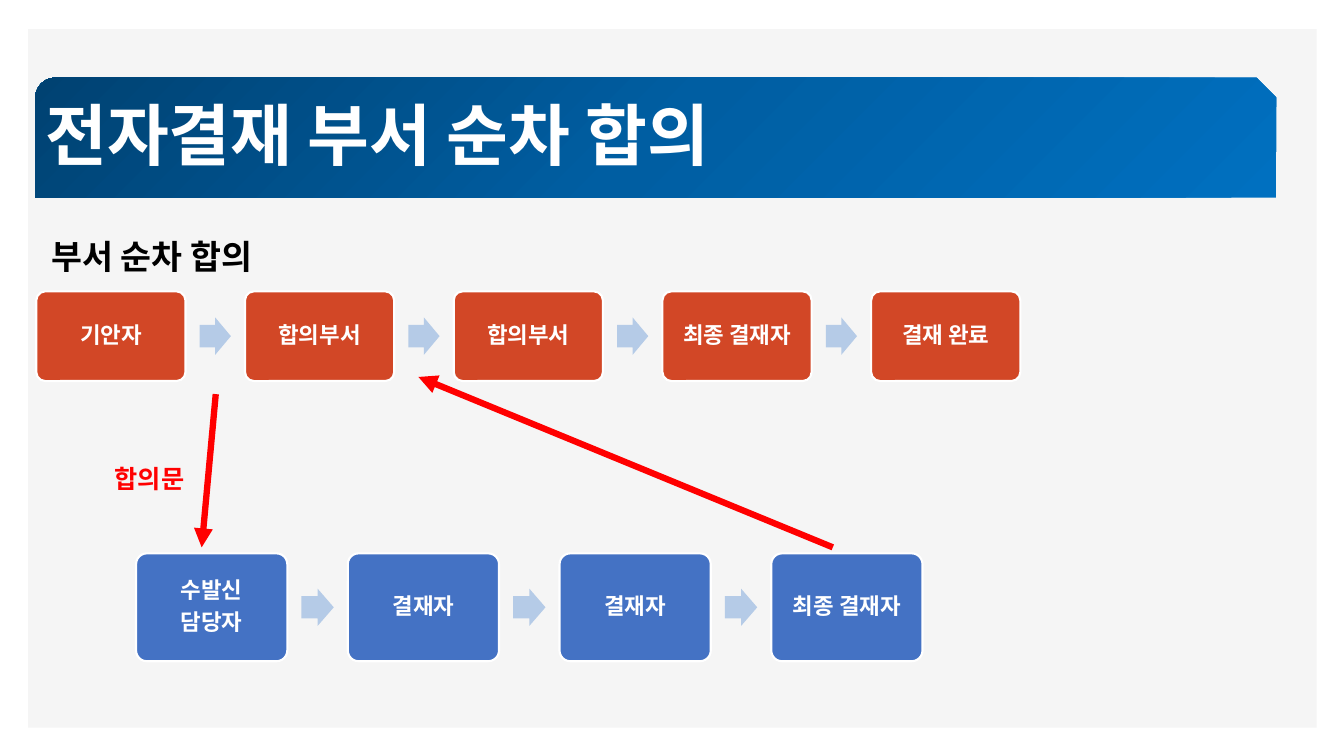
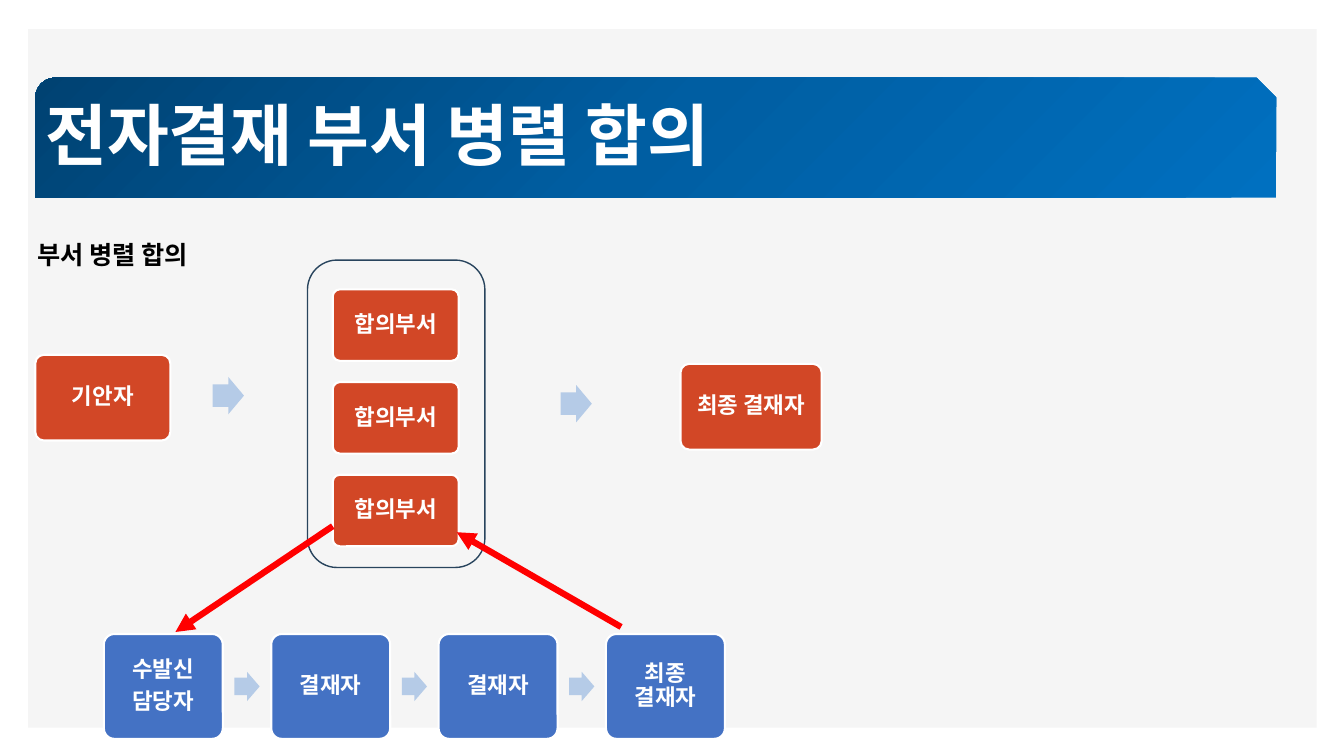
import dataclasses

import pptx
import pptx.dml.color
import pptx.enum.shapes
import pptx.enum.text
import pptx.oxml
import pptx.oxml.ns
import pptx.util

Inches = pptx.util.Inches
Pt = pptx.util.Pt
SHAPE = pptx.enum.shapes.MSO_SHAPE
ALIGN = pptx.enum.text.PP_ALIGN
ANCHOR = pptx.enum.text.MSO_ANCHOR
AUTO_SIZE = pptx.enum.text.MSO_AUTO_SIZE
qn = pptx.oxml.ns.qn


@dataclasses.dataclass(frozen=True)
class Theme:
    panel: str = "F5F5F5"
    band: tuple = ("004272", "005EA2", "0070C0")
    white: str = "FFFFFF"
    black: str = "000000"
    red: str = "FF0000"
    orange: str = "D24726"
    blue: str = "4472C4"
    pale_blue: str = "B5CBE7"
    navy: str = "28445D"
    title_font: str = "Noto Sans CJK KR"
    body_font: str = "Cabin"
    title_size: int = 48
    heading_size: int = 24
    note_size: int = 18
    box_size: int = 16


THEME = Theme()


def rgb(value):
    return pptx.dml.color.RGBColor.from_string(value)


def set_font(para, size, color, name=THEME.body_font):
    font = para.font
    font.name, font.size, font.bold = name, Pt(size), True
    font.color.rgb = rgb(color)


# Basic elements
def add_shape(page, kind, left, top, width, height, fill=None, line=None, weight=1.5):
    shape = page.shapes.add_shape(
        kind, Inches(left), Inches(top), Inches(width), Inches(height))
    shape.shadow.inherit = False
    if fill:
        shape.fill.solid()
        shape.fill.fore_color.rgb = rgb(fill)
    else:
        shape.fill.background()
    if line:
        shape.line.color.rgb = rgb(line)
        shape.line.width = Pt(weight)
    else:
        shape.line.fill.background()
    return shape


def add_box(page, label, left, top, width, height, fill=THEME.orange):
    box = add_shape(page, SHAPE.ROUNDED_RECTANGLE, left, top, width, height,
                    fill, THEME.white)
    box.adjustments[0] = 0.1
    frame = box.text_frame
    frame.text = label
    frame.word_wrap = True
    frame.vertical_anchor = ANCHOR.MIDDLE
    frame.margin_left = frame.margin_right = Inches(0.1)
    frame.margin_top = frame.margin_bottom = Inches(0.1)
    for para in frame.paragraphs:
        para.alignment = ALIGN.CENTER
        para.line_spacing = 0.9
        para.space_after = Pt(THEME.box_size * 0.35)
        set_font(para, THEME.box_size, THEME.white)


def add_block_arrow(page, left, top, width=0.31, height=0.37):
    arrow = add_shape(page, SHAPE.RIGHT_ARROW, left, top, width, height,
                      THEME.pale_blue)
    arrow.adjustments[0] = 0.6


def add_flow(page, labels, left, top, box, pitch, arrow, fill):
    """Draw a row of boxes with a block arrow centred in each gap."""
    width, height = box
    arrow_width, arrow_height = arrow
    for index, label in enumerate(labels):
        x = left + index * pitch
        add_box(page, label, x, top, width, height, fill)
        if index < len(labels) - 1:
            add_block_arrow(page, x + (width + pitch - arrow_width) / 2,
                            top + (height - arrow_height) / 2, arrow_width, arrow_height)


def add_label(page, text, left, top, width, height, size, color=THEME.black):
    label = page.shapes.add_textbox(
        Inches(left), Inches(top), Inches(width), Inches(height))
    frame = label.text_frame
    frame.text = text
    frame.word_wrap = False
    frame.auto_size = AUTO_SIZE.SHAPE_TO_FIT_TEXT
    set_font(frame.paragraphs[0], size, color)


def add_red_arrow(page, start, end):
    arrow = page.shapes.add_connector(
        pptx.enum.shapes.MSO_CONNECTOR.STRAIGHT, *map(Inches, start + end))
    arrow.line.color.rgb = rgb(THEME.red)
    arrow.line.width = Pt(4.5)
    arrow.line._get_or_add_ln().append(pptx.oxml.parse_xml(
        f'<a:tailEnd {pptx.oxml.ns.nsdecls("a")} type="triangle"/>'))
    arrow.element.spPr.append(pptx.oxml.parse_xml(
        f'<a:effectLst {pptx.oxml.ns.nsdecls("a")}/>'))


# Shared page design
def decorate_layout(layout, page):
    """Draw panel and title band, then move them behind the layout's parts."""
    panel = add_shape(page, SHAPE.RECTANGLE, 0.28, 0.29, 12.78, 6.93, THEME.panel)
    band = add_shape(page, SHAPE.SNIP_ROUND_RECTANGLE, 0.35, 0.77, 12.31, 1.19,
                     THEME.band[0])
    stops = "".join(
        f'<a:gs pos="{index * 50000}"><a:srgbClr val="{color}"/></a:gs>'
        for index, color in enumerate(THEME.band))
    gradient = pptx.oxml.parse_xml(
        f'<a:gradFill {pptx.oxml.ns.nsdecls("a")} rotWithShape="1">'
        f'<a:gsLst>{stops}</a:gsLst><a:path path="circle">'
        '<a:fillToRect r="100000" b="100000"/></a:path></a:gradFill>')
    properties = band.element.spPr
    properties.replace(properties.find(qn("a:solidFill")), gradient)
    for index, shape in enumerate((panel, band)):
        shape.element.nvSpPr.cNvPr.set("id", str(100 + index))
        layout.shapes.element.insert(2 + index, shape.element)


def add_page(deck, title):
    page = deck.slides.add_slide(deck.slide_layouts.get_by_name("Title Only"))
    holder = page.shapes.title
    holder.left, holder.top = Inches(0.35), Inches(0.88)
    holder.width, holder.height = Inches(7.8), Inches(0.96)
    frame = holder.text_frame
    frame.text = title
    frame.word_wrap = True
    frame.auto_size = AUTO_SIZE.NONE
    frame.vertical_anchor = ANCHOR.TOP
    para = frame.paragraphs[0]
    para.alignment = ALIGN.LEFT
    set_font(para, THEME.title_size, THEME.white, THEME.title_font)
    return page


# Pages
APPROVERS = ("수발신\n담당자", "결재자", "결재자", "최종 결재자")


def build_sequential(deck):
    page = add_page(deck, "전자결재 부서 순차 합의")
    add_flow(page, ("기안자", "합의부서", "합의부서", "최종 결재자", "결재 완료"),
             0.36, 2.89, (1.48, 0.89), 2.07, (0.31, 0.37), THEME.orange)
    add_flow(page, APPROVERS, 1.35, 5.49, (1.5, 1.07), 2.1, (0.32, 0.37), THEME.blue)
    add_label(page, "부서 순차 합의", 0.41, 2.29, 2.41, 0.5, THEME.heading_size)
    add_red_arrow(page, (2.14, 3.91), (2, 5.43))
    add_red_arrow(page, (8.26, 5.43), (4.15, 3.74))
    add_label(page, "합의문", 1.04, 4.55, 0.96, 0.4, THEME.note_size, THEME.red)
    return page


def build_parallel(deck):
    page = add_page(deck, "전자결재 부서 병렬 합의")
    add_label(page, "부서 병렬 합의", 0.27, 2.33, 2.05, 0.4, THEME.note_size)
    add_box(page, "기안자", 0.35, 3.52, 1.34, 0.85)
    add_block_arrow(page, 2.11, 3.74)

    # Departments agreeing side by side
    add_shape(page, SHAPE.ROUNDED_RECTANGLE, 3.05, 2.58, 1.76, 3.05,
              line=THEME.navy, weight=1)
    for index in range(3):
        add_box(page, "합의부서", 3.3, 2.87 + index * 0.92, 1.25, 0.71)

    add_block_arrow(page, 5.56, 3.82)
    add_box(page, "최종 결재자", 6.75, 3.61, 1.4, 0.85)

    # Approval inside the department
    add_flow(page, APPROVERS, 1.03, 6.29, (1.18, 1.04), 1.66, (0.25, 0.29), THEME.blue)
    add_red_arrow(page, (3.3, 5.22), (1.74, 6.27))
    add_red_arrow(page, (6.16, 6.22), (4.53, 5.28))


def main():
    deck = pptx.Presentation()
    deck.slide_width, deck.slide_height = Inches(13.33), Inches(7.5)
    first_page = build_sequential(deck)
    decorate_layout(first_page.slide_layout, first_page)
    build_parallel(deck)
    deck.save("out.pptx")


if __name__ == "__main__":
    main()
